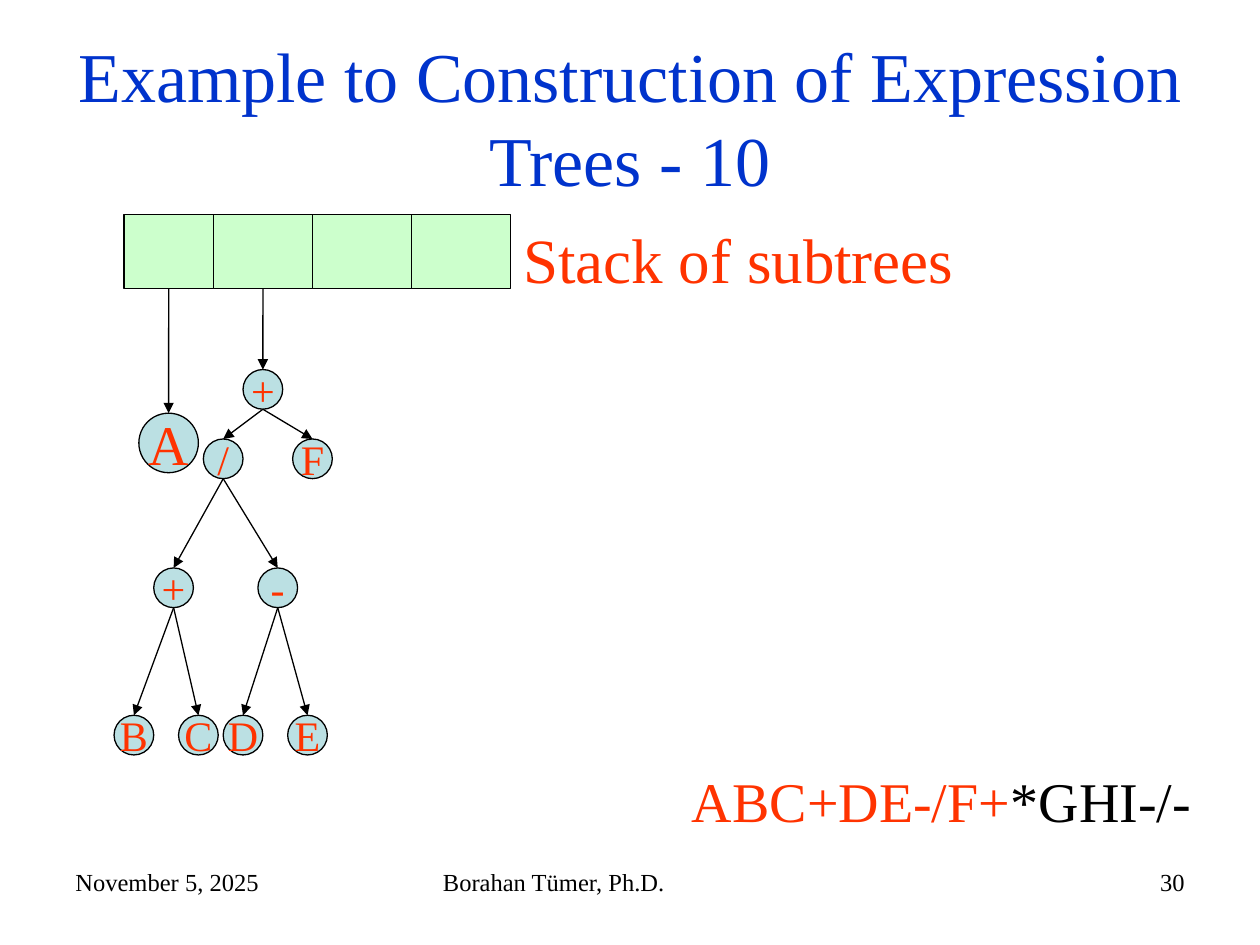
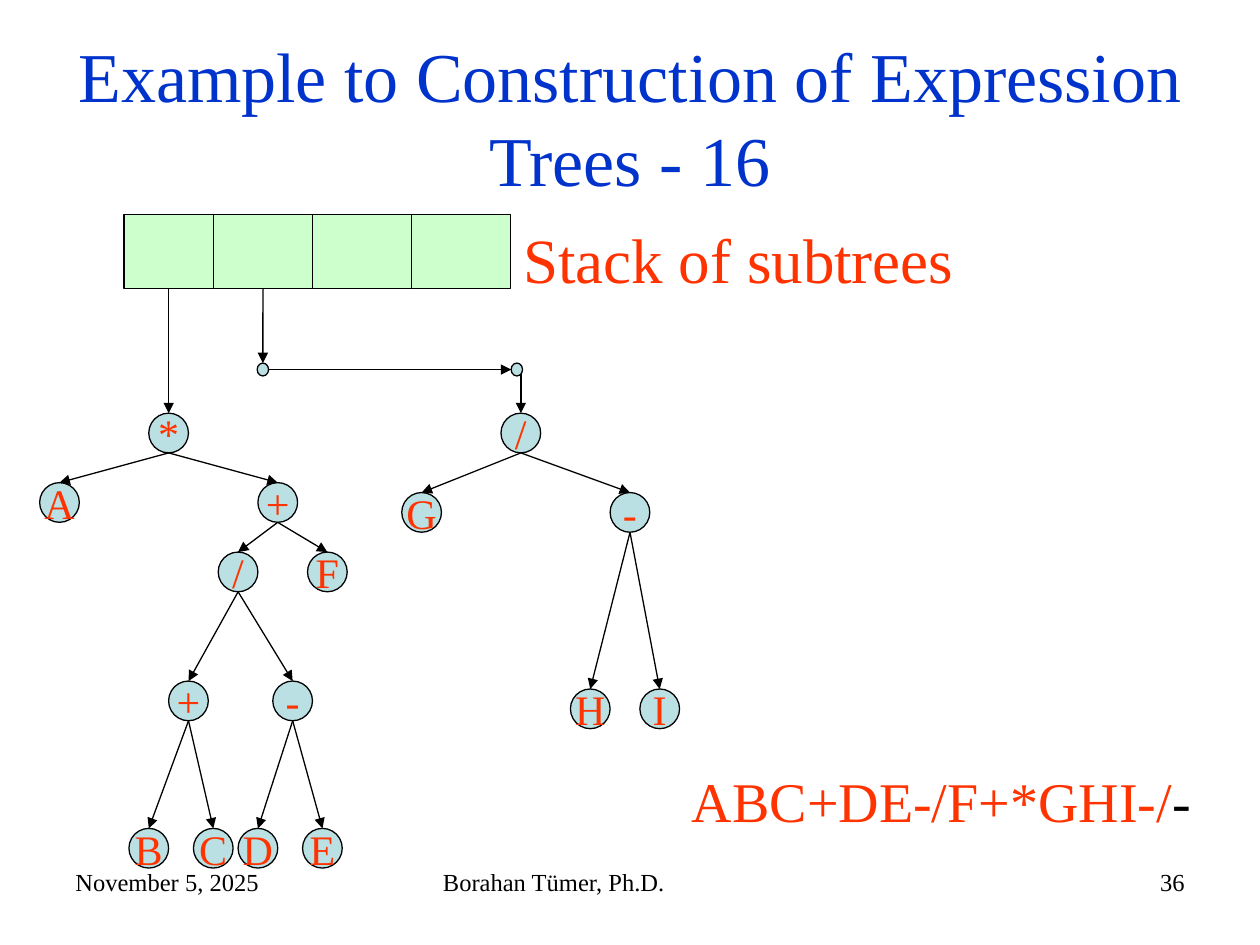
from dataclasses import dataclass

from lxml import etree
from pptx import Presentation
from pptx import util as u
from pptx.dml.color import RGBColor
from pptx.enum import shapes, text
from pptx.oxml import ns

BLUE = RGBColor(0x00, 0x33, 0xCC)
ORANGE = RGBColor(0xFF, 0x33, 0x00)
BLACK = RGBColor(0x00, 0x00, 0x00)
GREEN = RGBColor(0xCC, 0xFF, 0xCC)
TEAL = RGBColor(0xBB, 0xE0, 0xE3)
FONT = "Times New Roman"
LEFT, CENTER, RIGHT = text.PP_ALIGN.LEFT, text.PP_ALIGN.CENTER, text.PP_ALIGN.RIGHT

NODE_SIZE = 0.8
CELL_WIDTHS = (1.8, 2, 2, 2)
CELL_HEIGHT = 1.5
STACK_LEFT, STACK_TOP = 2.5, 4.32
OPERAND_TOP = 8.33


@dataclass
class Node:
    """A tree node, placed relative to its parent in centimetres."""
    label: str
    dx: float = 0
    dy: float = 0
    children: tuple = ()
    size: float = NODE_SIZE
    points: int = 24


def sum_tree(dx=0, dy=0):
    """Return the subtree for BC+DE-/F+."""
    total = Node("+", -1, 2.6, (Node("B", -0.8, 2.97), Node("C", 0.5, 2.97)))
    difference = Node("-", 1.1, 2.6, (Node("D", -0.7, 2.97), Node("E", 0.6, 2.97)))
    quotient = Node("/", -0.8, 1.4, (total, difference))
    return Node("+", dx, dy, (quotient, Node("F", 1, 1.4)))


def write(paragraph, words, points, color, align=LEFT):
    """Add one formatted run to a paragraph."""
    paragraph.alignment = align
    run = paragraph.add_run()
    run.text = words
    run.font.name = FONT
    run.font.size = u.Pt(points)
    run.font.color.rgb = color


def add_label(slide, box, runs, points, align=LEFT):
    """Add a wrapped text box holding (words, colour) runs."""
    frame = slide.shapes.add_textbox(*map(u.Cm, box)).text_frame
    frame.word_wrap = True
    for words, color in runs:
        write(frame.paragraphs[0], words, points, color, align)


def add_outlined(slide, kind, box, fill):
    """Add a filled preset shape with a thin black outline."""
    shape = slide.shapes.add_shape(kind, *map(u.Cm, box))
    shape.shadow.inherit = False
    shape.fill.solid()
    shape.fill.fore_color.rgb = fill
    shape.line.color.rgb = BLACK
    shape.line.width = u.Pt(0.75)
    return shape


def add_oval(slide, center, top, width, height):
    """Add an oval hung from the middle of its top."""
    box = (center - width / 2, top, width, height)
    return add_outlined(slide, shapes.MSO_SHAPE.OVAL, box, TEAL)


def add_arrow(slide, start, end, cell=None, target=None):
    """Draw an arrow, joined to a cell's bottom and a target's top if given."""
    arrow = slide.shapes.add_connector(
        shapes.MSO_CONNECTOR.STRAIGHT, *map(u.Cm, (*start, *end)))
    arrow.line.color.rgb = BLACK
    arrow.line.width = u.Pt(0.75)
    if cell is not None:
        arrow.begin_connect(cell, 2)
    if target is not None:
        arrow.end_connect(target, 0)
    line = arrow.line._get_or_add_ln()
    etree.SubElement(line, ns.qn("a:tailEnd"), type="triangle")
    etree.SubElement(arrow._element.spPr, ns.qn("a:effectLst"))


def add_tree(slide, node, center, top):
    """Draw a node and its descendants below (center, top); return its oval."""
    oval = add_oval(slide, center, top, node.size, node.size)
    frame = oval.text_frame
    frame.word_wrap = False
    frame.vertical_anchor = text.MSO_ANCHOR.MIDDLE
    write(frame.paragraphs[0], node.label, node.points, ORANGE, CENTER)
    for child in node.children:
        x, y = center + child.dx, top + child.dy
        child_oval = add_tree(slide, child, x, y)
        add_arrow(slide, (center, top + node.size), (x, y), target=child_oval)
    return oval


def add_stack(slide, left, top):
    """Draw the stack with its label; return (cell, centre, bottom) for each cell."""
    cells = []
    for width in CELL_WIDTHS:
        cell = add_outlined(slide, shapes.MSO_SHAPE.RECTANGLE,
                            (left, top, width, CELL_HEIGHT), GREEN)
        cells.append((cell, left + width / 2, top + CELL_HEIGHT))
        left += width
    add_label(slide, (left, top, 9.2, 1.78), [("Stack of subtrees", ORANGE)], 36)
    return cells


def point_to(slide, slot, target, top):
    """Draw the pointer from a stack cell straight down to a target."""
    cell, center, bottom = slot
    add_arrow(slide, (center, bottom), (center, top), cell, target)


def hang_tree(slide, slot, root, top):
    """Draw a tree under a stack cell together with its pointer."""
    point_to(slide, slot, add_tree(slide, root, slot[1], top), top)


def add_step(deck, step, number, read, unread):
    """Add a slide with title, postfix input, footer and stack; return it and its cells."""
    slide = deck.slides.add_slide(deck.slide_layouts[5])
    title = slide.shapes.title
    title.left, title.top, title.width, title.height = map(
        u.Cm, (1.27, 0.76, 22.86, 3.18))
    frame = title.text_frame
    frame.auto_size = text.MSO_AUTO_SIZE.NONE
    frame.word_wrap = True
    frame.vertical_anchor = text.MSO_ANCHOR.MIDDLE
    write(frame.paragraphs[0], f"Example to Construction of Expression Trees - {step}",
          40, BLUE, CENTER)
    add_label(slide, (13.7, 15.32, 10.62, 1.6), [(read, ORANGE), (unread, BLACK)], 32)
    for left, width, words, align in (
            (1.27, 5.93, "November 5, 2025", LEFT),
            (8.68, 8.04, "Borahan Tümer, Ph.D.", LEFT),
            (18.2, 5.93, str(number), RIGHT)):
        add_label(slide, (left, 17.35, width, 1.32), [(words, BLACK)], 14, align)
    return slide, add_stack(slide, STACK_LEFT, STACK_TOP)


def build_step_10(deck):
    """Show operand A and the sum tree on the stack."""
    slide, cells = add_step(deck, 10, 30, "ABC+DE-/F+", "*GHI-/-")
    hang_tree(slide, cells[0], Node("A", size=1.2, points=32), OPERAND_TOP)
    hang_tree(slide, cells[1], sum_tree(), 7.45)


def build_step_16(deck):
    """Show the product and quotient trees on the stack."""
    slide, cells = add_step(deck, 16, 36, "ABC+DE-/F+*GHI-/", "-")
    product = Node("*", children=(Node("A", -2.2, 1.4), sum_tree(2.2, 1.4)))
    hang_tree(slide, cells[0], product, OPERAND_TOP)

    difference = Node("-", 2.2, 1.6, (Node("H", -0.8, 3.96), Node("I", 0.6, 3.96)))
    quotient = Node("/", children=(Node("G", -2, 1.6), difference))
    quotient_x = 10.5
    quotient_oval = add_tree(slide, quotient, quotient_x, OPERAND_TOP)

    joint_top, joint_width, joint_height = 7.32, 0.23, 0.26
    near_x, far_x = cells[1][1], 10.42
    near, _ = (add_oval(slide, x, joint_top, joint_width, joint_height)
               for x in (near_x, far_x))
    joint_y = joint_top + joint_height / 2
    point_to(slide, cells[1], near, joint_top)
    add_arrow(slide, (near_x + joint_width / 2, joint_y),
              (far_x - joint_width / 2, joint_y))
    add_arrow(slide, (quotient_x, 7.54), (quotient_x, OPERAND_TOP), target=quotient_oval)


def main():
    """Build the deck and save it."""
    deck = Presentation()
    deck.slide_width, deck.slide_height = u.Cm(25.4), u.Cm(19.05)
    build_step_10(deck)
    build_step_16(deck)
    deck.save("out.pptx")


if __name__ == "__main__":
    main()
